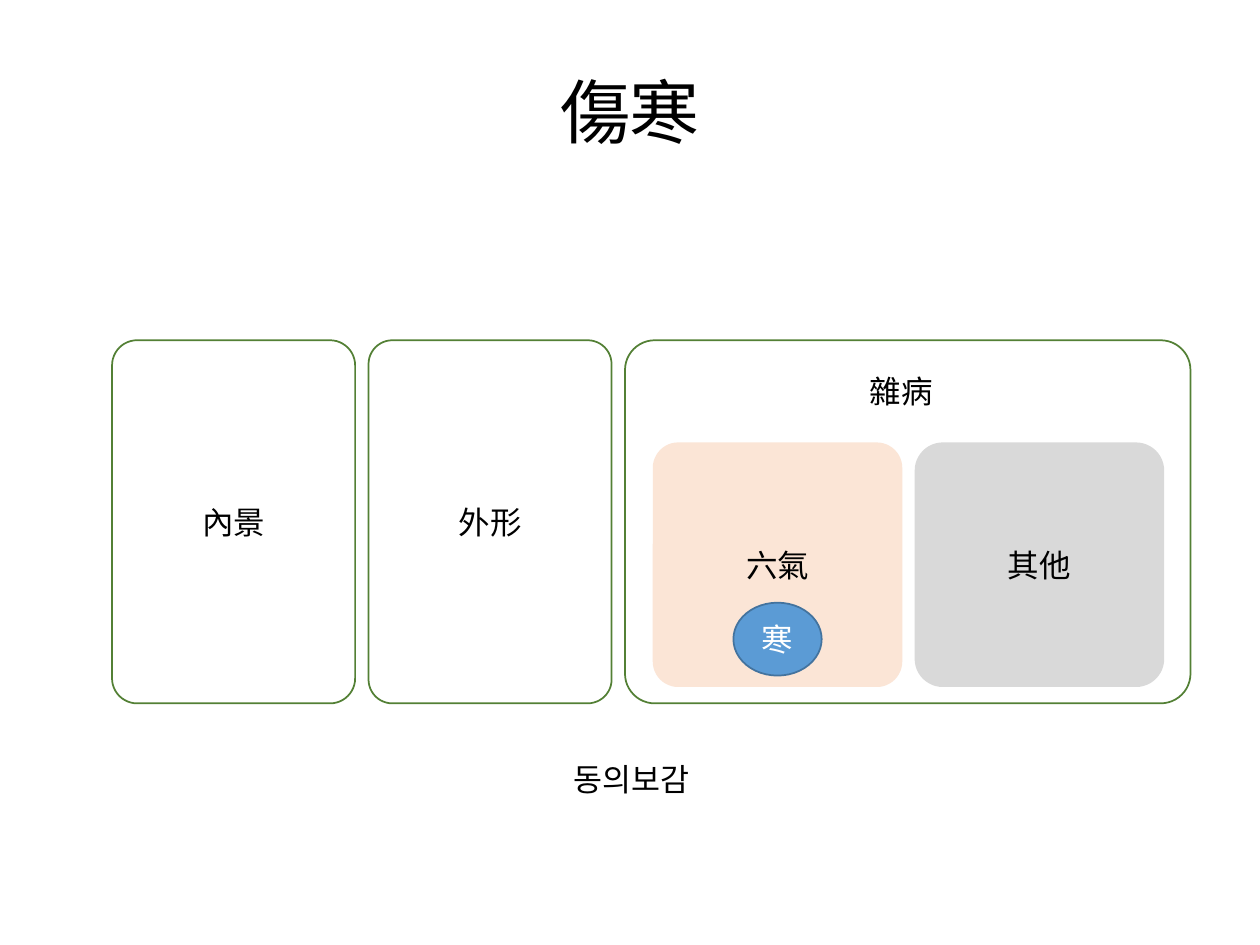
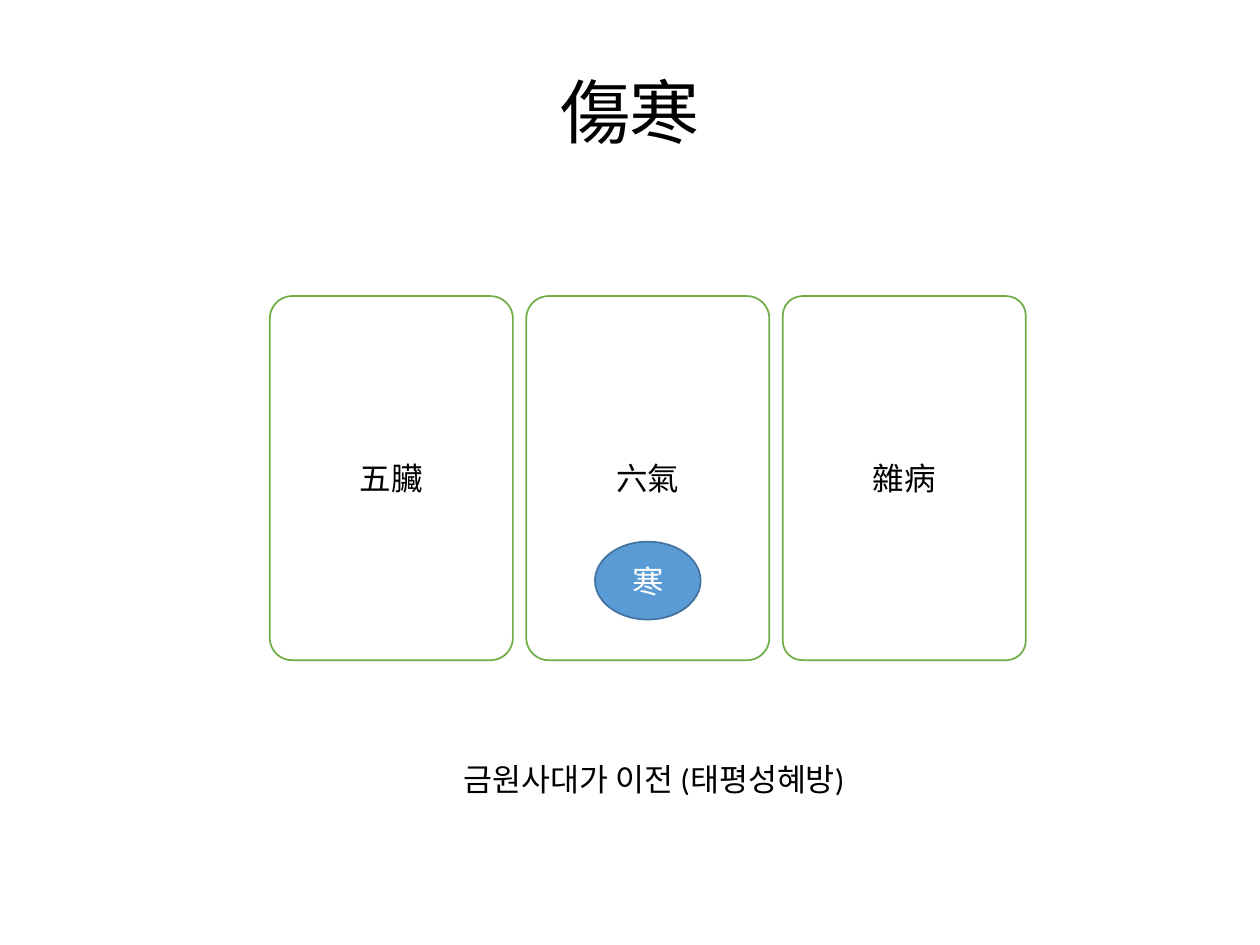
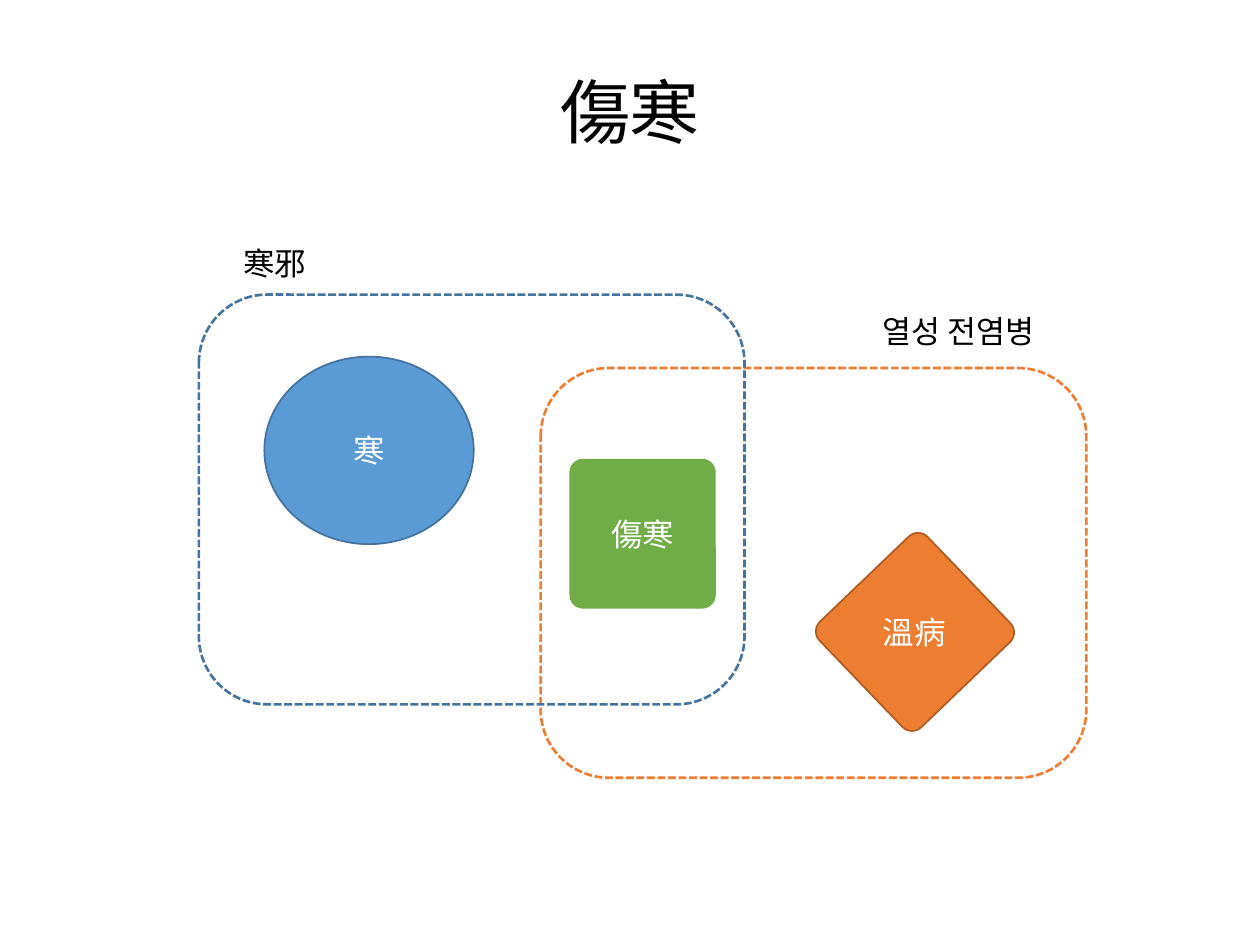
from lxml import etree
from pptx import Presentation
from pptx.dml.color import RGBColor
from pptx.enum.dml import MSO_LINE
from pptx.enum.shapes import MSO_SHAPE
from pptx.enum.text import MSO_ANCHOR, MSO_AUTO_SIZE, PP_ALIGN
from pptx.oxml.ns import qn
from pptx.util import Cm, Pt

ROUND, OVAL = MSO_SHAPE.ROUNDED_RECTANGLE, MSO_SHAPE.OVAL
DASH = MSO_LINE.SQUARE_DOT
MIDDLE, CENTER = MSO_ANCHOR.MIDDLE, PP_ALIGN.CENTER
GROW = MSO_AUTO_SIZE.SHAPE_TO_FIT_TEXT

HUES = {
    "black": "000000", "white": "FFFFFF", "forest": "538035",
    "green": "70AD47", "peach": "FBE5D6", "gray": "D9D9D9",
    "blue": "5B9BD5", "navy": "43739E", "orange": "ED7D31", "rust": "AF5C24",
}
LATIN, ASIAN = "Calibri", "Noto Sans CJK KR"
TITLE, COLD, SIX, MIXED = "傷寒", "寒", "\uf9d1氣", "雜病"
PANEL, PITCH = 4.9, 5.17
LINE = 1.02


def hue(name):
    """Return the named colour."""
    return RGBColor.from_string(HUES[name])


def apply(item, form):
    """Set each attribute in form on item."""
    for key, value in form.items():
        setattr(item, key, value)


def place(item, box):
    """Move item to box, given in centimetres."""
    apply(item, dict(zip(("left", "top", "width", "height"), map(Cm, box))))


def write(item, text, size=18, color="black", face=LATIN, **form):
    """Put one centred line of text into item."""
    frame = item.text_frame
    apply(frame, {"word_wrap": True, "vertical_anchor": MIDDLE, **form})
    para = frame.paragraphs[0]
    para.alignment = CENTER
    run = para.add_run()
    run.text = text
    apply(run.font, {"size": Pt(size), "name": face})
    run.font.color.rgb = hue(color)
    east = etree.Element(qn("a:ea"), typeface=ASIAN)
    run.font._element.find(qn("a:latin")).addnext(east)


def label(shapes, box, text, color="black", wrap=True):
    """Add a free line of text."""
    item = shapes.add_textbox(*map(Cm, box))
    write(item, text, color=color, word_wrap=wrap, auto_size=GROW)


def block(shapes, box, text="", kind=ROUND, fill=None, line=None,
          color="black", curve=None, width=1, dash=None, turn=0):
    """Add a preset shape with optional fill, outline and text."""
    item = shapes.add_shape(kind, *map(Cm, box))
    item.shadow.inherit = False
    item.rotation = turn
    if curve is not None:
        item.adjustments[0] = curve
    for paint, name in ((item.fill, fill), (item.line.fill, line)):
        if name:
            paint.solid()
            paint.fore_color.rgb = hue(name)
        else:
            paint.background()
    if line:
        apply(item.line, {"width": Pt(width), "dash_style": dash})
    if text:
        write(item, text, color=color)


def cold(shapes, box):
    """Add the blue oval for cold."""
    block(shapes, box, COLD, OVAL, "blue", "navy", "white")


def start(deck):
    """Add a slide with the shared title and return its shapes."""
    shapes = deck.slides.add_slide(deck.slide_layouts[5]).shapes
    place(shapes.title, (0, 1.25, 25.4, 1.95))
    write(shapes.title, TITLE, 40, face=ASIAN, auto_size=GROW)
    return shapes


def mixed(shapes, box):
    """Draw the panel of mixed diseases with its two parts."""
    left, top, wide, high = box
    block(shapes, box, line="forest", curve=0.082)
    label(shapes, (left + 4.67, top + 0.51, 1.8, LINE), MIXED, wrap=False)
    part, step = 5.03, 5.28
    x, y = left + 0.56, top + 2.06
    parts = ((SIX, "peach", 0.104), ("其他", "gray", 0.115))
    for i, (text, fill, curve) in enumerate(parts):
        block(shapes, (x + i * step, y, part, 4.93), text,
              fill=fill, curve=curve)
    cold(shapes, (x + (part - 1.78) / 2, y + 3.23, 1.78, 1.47))


def book(shapes, box):
    """Draw two plain panels and the mixed panel in the rest of box."""
    left, top, wide, high = box
    for i, (text, curve) in enumerate((("內景".replace("內", "\u5167"), 0.103),
                                       ("外形", 0.098))):
        block(shapes, (left + i * PITCH, top, PANEL, high), text,
              line="forest", curve=curve)
    mixed(shapes, (left + 2 * PITCH, top, wide - 2 * PITCH, high))


def early(shapes, box):
    """Draw three equal panels with cold in the middle one."""
    left, top, wide, high = box
    panels = (("五臟", 0.092), (SIX, 0.092), (MIXED, 0.08))
    for i, (text, curve) in enumerate(panels):
        block(shapes, (left + i * PITCH, top, PANEL, high), text,
              fill="white", line="green", curve=curve)
    cold(shapes, (left + PITCH + (PANEL - 2.13) / 2, top + 4.95, 2.13, 1.57))


def warm(shapes, box):
    """Group the turned orange square with its label."""
    left, top, wide, high = box
    group = shapes.add_group_shape().shapes
    block(group, box, fill="orange", line="rust", curve=0.092, turn=46.2)
    label(group, (left + 0.56, top + 0.99, 1.8, LINE), "\u6eab病", "white", False)


def overlap(shapes, box):
    """Draw two dashed zones at opposite corners of box."""
    left, top, wide, high = box
    span, tall = 11, 8.26
    x, y = left + wide - span, top + high - tall
    side = 2.95
    mid = (x + left + span - side) / 2
    block(shapes, (mid, top + 3.31, side, 3.02), TITLE,
          fill="green", color="white", curve=0.092)
    cold(shapes, (left + 1.32, top + 1.25, 4.22, 3.78))
    warm(shapes, (x + 6.07, y + 3.81, side, 3.02))
    for spot, line in (((x, y), "orange"), ((left, top), "navy")):
        block(shapes, (*spot, span, tall), line=line, width=1.5, dash=DASH)
    label(shapes, (left - 1.09, top - 1.14, 5.23, LINE), "寒邪")
    label(shapes, (x + 5.81, y - 1.25, 5.23, LINE), "열성 전염병")


def main():
    """Build and save the deck."""
    deck = Presentation()
    apply(deck, {"slide_width": Cm(25.4), "slide_height": Cm(19.05)})
    pages = (
        (book, (2.26, 6.86, 21.74, 7.32), 8.18, "동의보감"),
        (early, (5.44, 5.97, 15.24, 7.34), 8.64, "금원사대가 이전 (태평성혜방)"),
        (overlap, (4.01, 5.94, 17.89, 9.74), 0, ""),
    )
    for draw, box, left, text in pages:
        shapes = start(deck)
        draw(shapes, box)
        if text:
            label(shapes, (left, 15.2, 9.09, LINE), text)
    deck.save("out.pptx")


main()
